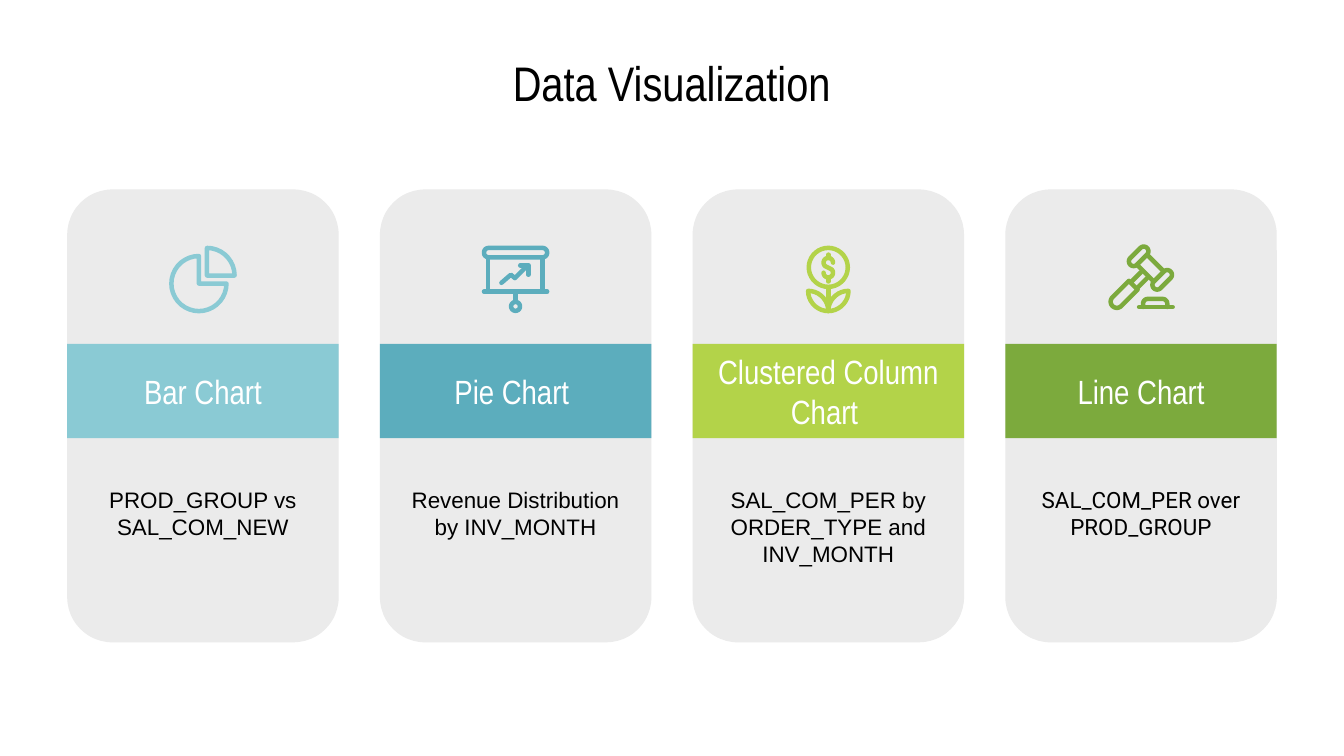
import math
from dataclasses import dataclass

from lxml import etree
from pptx import Presentation
from pptx import util as u
from pptx.dml import color
from pptx.enum import shapes, text
from pptx.oxml import ns


@dataclass(frozen=True)
class Theme:
    card: str = "EBEBEB"
    ink: str = "000000"
    paper: str = "FFFFFF"
    aqua: str = "8ACAD4"
    teal: str = "5CADBD"
    lime: str = "B3D349"
    green: str = "7CAA3D"
    heading_font: str = "Arial Narrow"
    body_font: str = "Arial"
    last_body_font: str = "Roboto"
    title_size: int = 26
    band_size: int = 18
    body_size: int = 12
    stroke: float = 2.4


THEME = Theme()


def rgb(value):
    return color.RGBColor.from_string(value)


def write(shape, words, *, size, font, ink=THEME.ink, anchor=text.MSO_ANCHOR.MIDDLE):
    frame = shape.text_frame
    frame.word_wrap = True
    frame.auto_size = text.MSO_AUTO_SIZE.NONE
    frame.vertical_anchor = anchor
    frame.margin_left = frame.margin_right = u.Inches(0.1)
    frame.margin_top = frame.margin_bottom = u.Inches(0.1)
    paragraph = frame.paragraphs[0]
    paragraph.alignment = text.PP_ALIGN.CENTER
    run = paragraph.add_run()
    run.text = words
    run.font.size = u.Pt(size)
    run.font.name = font
    run.font.color.rgb = rgb(ink)


def add_block(parts, kind, box, fill):
    shape = parts.add_shape(kind, *map(u.Inches, box))
    shape.shadow.inherit = False
    shape.fill.solid()
    shape.fill.fore_color.rgb = rgb(fill)
    shape.line.fill.background()
    return shape


# Icon strokes are (points, closed) in hundredths of an inch, in a 50 x 50 box.

def arc(x, y, radius, start, end):
    """Points along an arc; degrees run clockwise from the right."""
    steps = math.ceil(abs(end - start) / 10)
    angles = [math.radians(start + (end - start) * i / steps) for i in range(steps + 1)]
    return [(x + radius * math.cos(a), y + radius * math.sin(a)) for a in angles]


def ring(x, y, radius):
    return arc(x, y, radius, 0, 350), True


def pill(x1, y1, x2, y2, radius):
    """Closed capsule around the segment between two end centres."""
    turn = math.degrees(math.atan2(y2 - y1, x2 - x1))
    return (arc(x1, y1, radius, turn + 90, turn + 270)
            + arc(x2, y2, radius, turn - 90, turn + 90)), True


def line(*points):
    return list(points), False


PIE = [
    [(arc(22, 28, 20.5, 0, 270) + [(22, 28)], True)],
    [(arc(28, 22, 20.5, 270, 360) + [(28, 22)], True)],
]
BOARD = [
    [pill(5, 5, 45, 5, 3.5), line((4.5, 8.5), (4.5, 34)), line((45, 8.5), (45, 34)),
     line((1.5, 34), (48.5, 34)), line((25, 34), (25, 41.5)), ring(25, 45, 3.3)],
    [line((14.5, 27.5), (21.5, 21.5), (24.5, 24), (34, 14.5)),
     line((28.5, 14.5), (34.5, 14.5), (34.5, 21.5))],
]
COIN_PLANT = [
    [line((25, 6.5), (25, 9)), line((25, 23.5), (25, 26.5)),
     (arc(25, 12.5, 3.5, 0, -225) + arc(25, 20, 3.5, -45, 180), False)],
    [ring(25, 16, 14.5), line((25, 31), (25, 48)),
     (arc(10, 48.5, 15, 270, 360) + arc(25, 33.5, 15, 90, 180), True),
     (arc(40, 48.5, 15, 180, 270) + arc(25, 33.5, 15, 0, 90), True)],
]
GAVEL = [
    [pill(19.5, 11.5, 27, 4, 3.5), pill(37, 29, 44.5, 21.5, 3.5),
     line((29.5, 6.5), (42, 19)), line((22, 14), (34.5, 26.5)),
     line((25, 19.5), (17.5, 27)), line((29.5, 24), (22, 31.5)),
     ([(16, 26), (22.5, 32.5)] + arc(7, 41.5, 4.6, 45, 225), True)],
    [line((23.5, 45.5), (48.5, 45.5)),
     ([(26.5, 45.5)] + arc(30, 43, 3.5, 180, 270)
      + arc(41, 43, 3.5, 270, 360) + [(44.5, 45.5)], False)],
]


def add_icon(parts, left, top, icon, tint):
    for strokes in icon:
        builder = None
        for points, closed in strokes:
            points = [(u.Inches(left + x / 100), u.Inches(top + y / 100)) for x, y in points]
            if builder is None:
                builder = parts.build_freeform(*points[0])
            else:
                builder.move_to(*points[0])
            builder.add_line_segments(points[1:], close=closed)
        shape = builder.convert_to_shape()
        shape.shadow.inherit = False
        shape.fill.background()
        shape.line.color.rgb = rgb(tint)
        shape.line.width = u.Pt(THEME.stroke)
        outline = shape.line._get_or_add_ln()
        outline.set("cap", "rnd")
        etree.SubElement(outline, ns.qn("a:round"))


def add_title(slide, box, words):
    title = slide.shapes.title
    title.left, title.top, title.width, title.height = map(u.Inches, box)
    write(title, words, size=THEME.title_size, font=THEME.heading_font)


def add_card(slide, box, heading, body, icon, tint, body_font):
    left, top, width, height = box
    parts = slide.shapes.add_group_shape().shapes
    panel = add_block(parts, shapes.MSO_SHAPE.ROUNDED_RECTANGLE, box, THEME.card)
    panel.adjustments[0] = 1 / 6
    band = add_block(parts, shapes.MSO_SHAPE.RECTANGLE, (left, top + 1.15, width, 0.7), tint)
    write(band, heading, size=THEME.band_size, font=THEME.heading_font, ink=THEME.paper)
    note = parts.add_textbox(*map(u.Inches, (left + 0.09, top + 2.11, width - 0.18, 0.84)))
    write(note, body, size=THEME.body_size, font=body_font, anchor=text.MSO_ANCHOR.TOP)
    add_icon(parts, left + (width - 0.5) / 2, top + 0.42, icon, tint)


def add_card_row(slide, box, cards, card_width):
    left, top, width, height = box
    step = (width - card_width) / (len(cards) - 1)
    for index, card in enumerate(cards):
        add_card(slide, (left + index * step, top, card_width, height), *card)


def main():
    presentation = Presentation()
    presentation.slide_width = u.Inches(10)
    presentation.slide_height = u.Inches(10) * 9 // 16
    slide = presentation.slides.add_slide(presentation.slide_layouts[5])
    slide.background.fill.solid()
    slide.background.fill.fore_color.rgb = rgb(THEME.paper)
    add_title(slide, (0.5, 0.45, 9, 0.32), "Data Visualization")
    cards = [
        ("Bar Chart", "PROD_GROUP vs SAL_COM_NEW", PIE, THEME.aqua, THEME.body_font),
        ("Pie Chart ", "Revenue Distribution by INV_MONTH", BOARD, THEME.teal,
         THEME.body_font),
        ("Clustered Column Chart ", "SAL_COM_PER by ORDER_TYPE and INV_MONTH", COIN_PLANT,
         THEME.lime, THEME.body_font),
        ("Line Chart", "SAL_COM_PER over PROD_GROUP", GAVEL, THEME.green,
         THEME.last_body_font),
    ]
    add_card_row(slide, (0.5, 1.41, 9, 3.37), cards, card_width=2.02)
    presentation.save("out.pptx")


if __name__ == "__main__":
    main()
